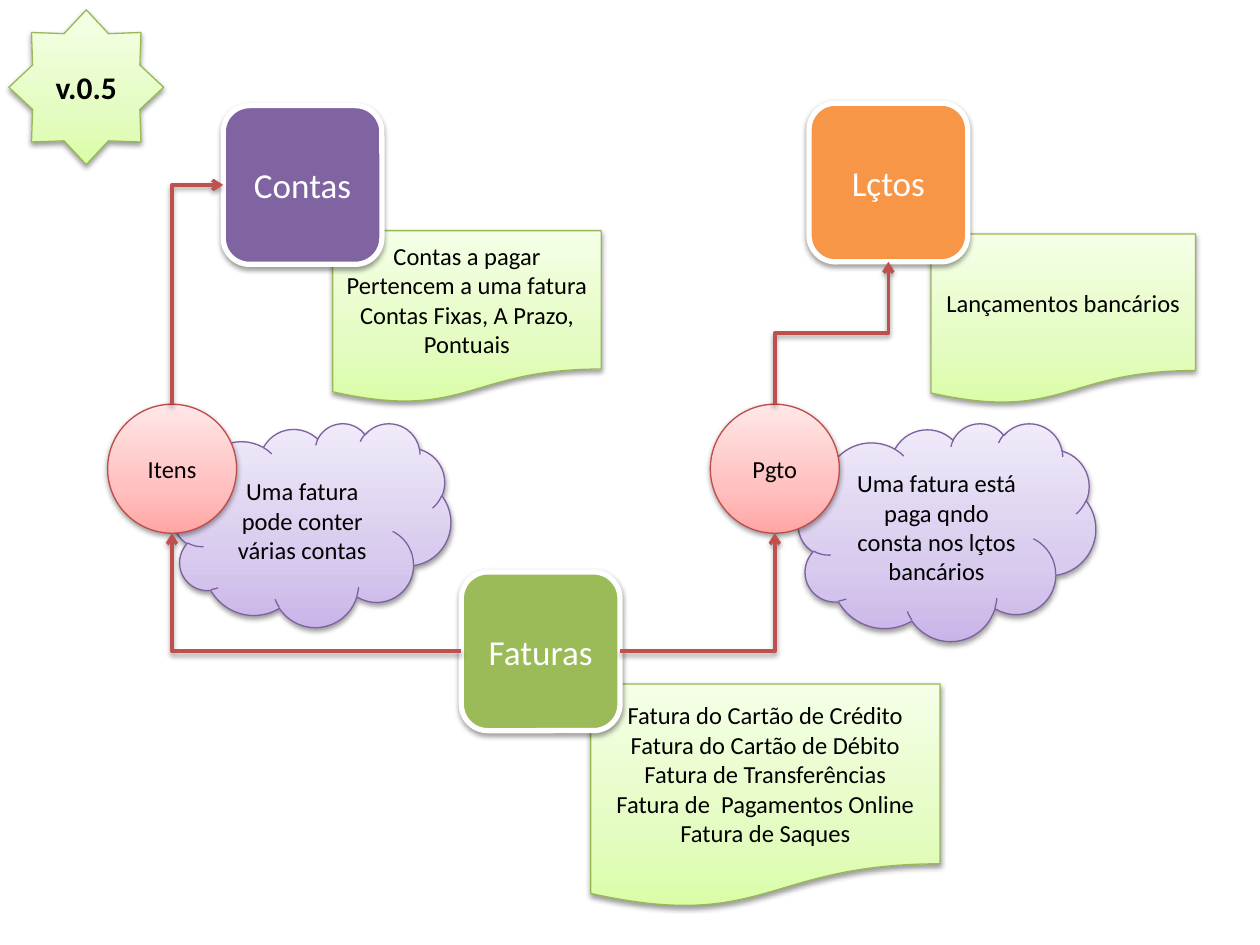
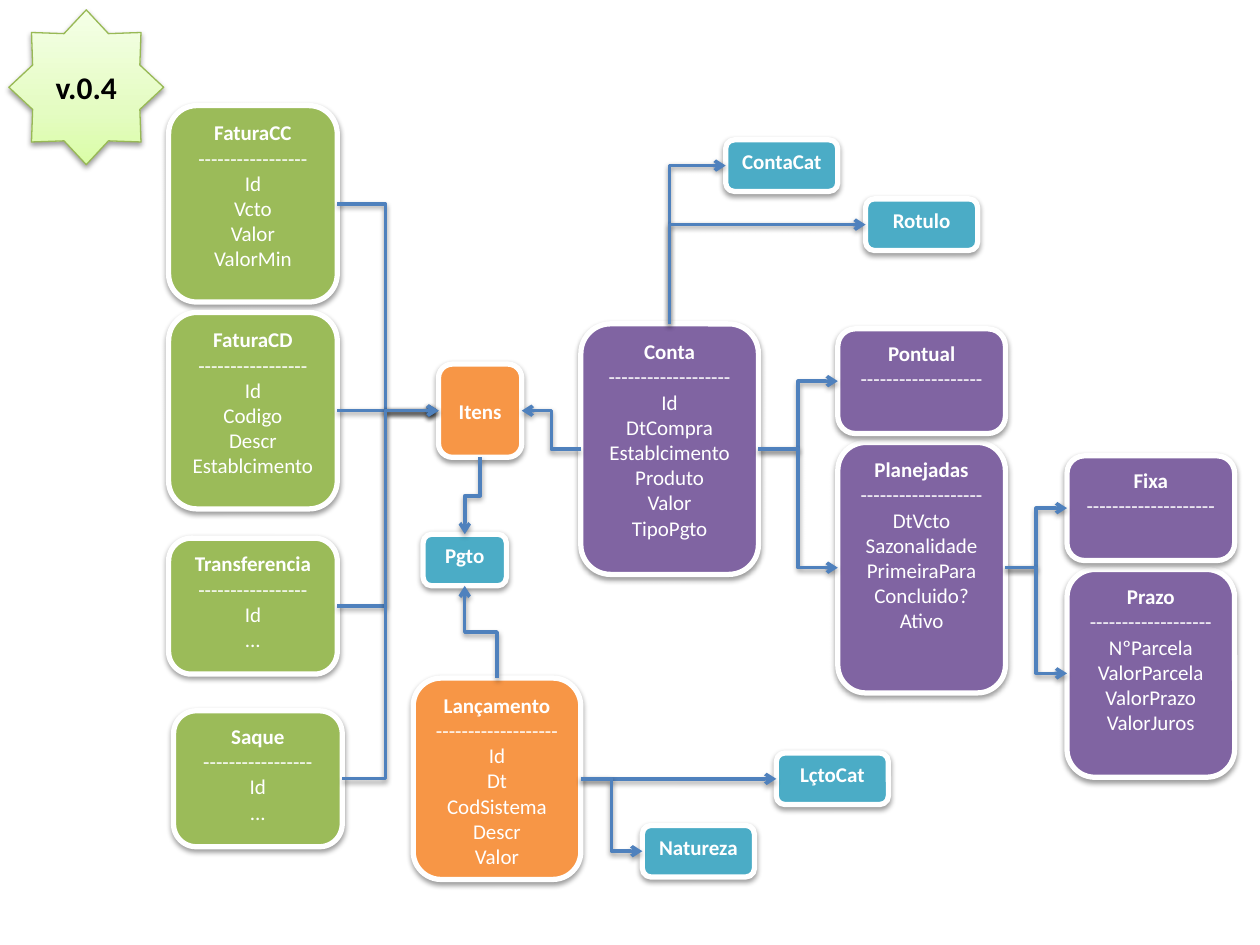
import pptx
import pptx.util
import pptx.dml.color
import pptx.enum.dml
import pptx.enum.shapes
import pptx.enum.text
import pptx.oxml.ns
from lxml import etree

Cm, Pt = pptx.util.Cm, pptx.util.Pt
RGB = pptx.dml.color.RGBColor.from_string
MSO = pptx.enum.shapes.MSO_SHAPE
ANCHOR = pptx.enum.text.MSO_ANCHOR
qn = pptx.oxml.ns.qn

HUES = {
    "white": "FFFFFF", "black": "000000", "purple": "8064A2",
    "orange": "F79646", "green": "9BBB59", "teal": "4BACC6",
    "red": "C0504D", "blue": "4F81BD",
}
# Soft fills: stops from bottom to top, and the outline
SOFT = {
    "lime": (("DAFDA7", "E4FCC2", "F5FFE7"), "98B955"),
    "lilac": (("C9B5E8", "D8CBEE", "F0EAF9"), "7D60A0"),
    "rose": (("FFA6A5", "FFC0BF", "FFE7E7"), "BF4C48"),
}
STOPS = (0, 35000, 100000)
SHADE = (
    '<a:effectLst xmlns:a="http://schemas.openxmlformats.org/drawingml/2006/main">'
    '<a:outerShdw blurRad="39370" dist="20320" dir="5400000" rotWithShape="0">'
    '<a:srgbClr val="000000"><a:alpha val="38000"/></a:srgbClr>'
    '</a:outerShdw></a:effectLst>')


def box(slide, kind, at, text, fill, size=14, color="black", head=False,
        bold=False, anchor=ANCHOR.MIDDLE):
    """Add a filled shape; each line of text is a paragraph."""
    shape = slide.shapes.add_shape(kind, *[Cm(v) for v in at])
    props = shape._element.spPr
    if fill in SOFT:
        tones, edge = SOFT[fill]
        shape.fill.gradient()
        shape.fill.gradient_angle = 90
        stops = props.find(qn("a:gradFill")).find(qn("a:gsLst"))
        for old in list(stops):
            stops.remove(old)
        for pos, tone in zip(STOPS, tones):
            stop = etree.SubElement(stops, qn("a:gs"), pos=str(pos))
            etree.SubElement(stop, qn("a:srgbClr"), val=tone)
        shape.line.width = Pt(0.75)
    else:
        edge = HUES["white"]
        shape.fill.solid()
        shape.fill.fore_color.rgb = RGB(HUES[fill])
        shape.line.width = Pt(3)
    shape.line.color.rgb = RGB(edge)
    props.append(etree.fromstring(SHADE))

    frame = shape.text_frame
    frame.word_wrap = True
    frame.vertical_anchor = anchor
    for n, words in enumerate(text.split("\n")):
        para = frame.add_paragraph() if n else frame.paragraphs[0]
        para.alignment = pptx.enum.text.PP_ALIGN.CENTER
        run = para.add_run()
        run.text = words
        run.font.name = "Calibri"
        run.font.size = Pt(size)
        run.font.bold = bold or (head and n == 0)
        run.font.color.rgb = RGB(HUES[color])
    return shape


def link(slide, start, out, end, into, hue, bend=None):
    """Join two shapes by an elbow arrow; sides are t, l, b, r."""
    ends = []
    for shape, side in ((start, out), (end, into)):
        dx, dy = {"t": (1, 0), "l": (0, 1), "b": (1, 2), "r": (2, 1)}[side]
        ends += [shape.left + shape.width * dx // 2,
                 shape.top + shape.height * dy // 2]
    x1, y1, x2, y2 = ends
    upright = out in "tb"
    if upright:  # lay the path flat, then turn it by 90 degrees
        mx, my, dx, dy = (x1 + x2) // 2, (y1 + y2) // 2, x2 - x1, y2 - y1
        ends = [mx - dy // 2, my + dx // 2, mx + dy // 2, my - dx // 2]
    line = slide.shapes.add_connector(
        pptx.enum.shapes.MSO_CONNECTOR.ELBOW, *ends)
    props = line._element.spPr
    geom = props.find(qn("a:prstGeom"))
    if upright:
        props.find(qn("a:xfrm")).set("rot", "5400000")
    if upright != (into in "tb"):
        geom.set("prst", "bentConnector2")
    elif bend:
        part = round((Cm(bend) - x1) / (x2 - x1) * 100000)
        etree.SubElement(geom.find(qn("a:avLst")), qn("a:gd"),
                         name="adj1", fmla=f"val {part}")
    line.line.color.rgb = RGB(HUES[hue])
    line.line.width = Pt(2)
    etree.SubElement(props.find(qn("a:ln")), qn("a:tailEnd"), type="arrow")
    props.append(etree.fromstring(SHADE))


deck = pptx.Presentation()
deck.slide_width, deck.slide_height = Cm(25.4), Cm(19.05)
plain = deck.slide_layouts[6]
flow, model = [deck.slides.add_slide(plain) for _ in range(2)]

# Version badges
for slide, text in ((flow, "v.0.5"), (model, "v.0.4")):
    box(slide, MSO.STAR_8_POINT, (0.18, 0.2, 3.12, 3.12), text, "lime",
        size=18, bold=True)

# Slide 1: clouds and notes
for at, text in (
        ((16.1, 8.53, 5.99, 4.39),
         "Uma fatura está paga qndo consta nos lçtos bancários"),
        ((3.5, 8.53, 5.59, 4.11), "Uma fatura pode conter várias contas")):
    box(flow, MSO.CLOUD, at, text, "lilac")
for at, text in (
        ((6.71, 4.65, 5.41, 3.48), "Contas a pagar\nPertencem a uma fatura\n"
         "Contas Fixas, A Prazo, Pontuais"),
        ((18.77, 4.72, 5.33, 3.43), "Lançamentos bancários"),
        ((11.91, 13.79, 7.04, 4.52),
         "Fatura do Cartão de Crédito\nFatura do Cartão de Débito\n"
         "Fatura de Transferências\nFatura de  Pagamentos Online\n"
         "Fatura de Saques")):
    box(flow, MSO.FLOWCHART_DOCUMENT, at, text, "lime")

# Slide 1: nodes and arrows
node = {}
for text, x, y, fill in (("Contas", 4.5, 2.13, "purple"),
                         ("Lçtos", 16.31, 2.08, "orange"),
                         ("Faturas", 9.3, 11.53, "green")):
    node[text] = box(flow, MSO.ROUNDED_RECTANGLE, (x, y, 3.2, 3.2), text,
                     fill, size=20, color="white")
for text, x in (("Itens", 2.17), ("Pgto", 14.32)):
    node[text] = box(flow, MSO.OVAL, (x, 8.15, 2.6, 2.6), text, "rose")
for start, out, end, into in (
        ("Faturas", "l", "Itens", "b"), ("Itens", "t", "Contas", "l"),
        ("Faturas", "r", "Pgto", "b"), ("Pgto", "t", "Lçtos", "b")):
    link(flow, node[start], out, node[end], into, "red")

# Slide 2: tables as name, place, fill, dashes under the name, fields
card = {}
for name, at, fill, dash, rows in (
        ("Conta", (11.71, 6.53, 3.58, 5.05), "purple", 19,
         "Id DtCompra Establcimento Produto Valor TipoPgto"),
        ("Planejadas", (16.89, 8.92, 3.38, 5.05), "purple", 19,
         "DtVcto Sazonalidade PrimeiraPara Concluido? Ativo"),
        ("Prazo", (21.51, 11.48, 3.38, 4.19), "purple", 19,
         "NºParcela ValorParcela ValorPrazo ValorJuros"),
        ("Fixa", (21.51, 9.19, 3.38, 2.11), "purple", 20, ""),
        ("Pontual", (16.89, 6.63, 3.38, 2.11), "purple", 19, ""),
        ("FaturaCC", (3.4, 2.13, 3.4, 3.96), "green", 17,
         "Id Vcto Valor ValorMin"),
        ("FaturaCD", (3.4, 6.3, 3.4, 3.96), "green", 17,
         "Id Codigo Descr Establcimento"),
        ("Transferencia", (3.4, 10.85, 3.4, 2.74), "green", 17, "Id ..."),
        ("Saque", (3.5, 14.33, 3.4, 2.74), "green", 17, "Id ..."),
        ("Lançamento", (8.33, 13.67, 3.38, 4.06), "orange", 19,
         "Id Dt CodSistema Descr Valor")):
    text = "\n".join([name, "-" * dash] + rows.split())
    card[name] = box(model, MSO.ROUNDED_RECTANGLE, at, text, fill, size=12,
                     color="white", head=True, anchor=ANCHOR.TOP)

# Slide 2: small boxes
card["Itens"] = box(model, MSO.ROUNDED_RECTANGLE, (8.84, 7.34, 1.68, 1.88),
                    "Itens", "orange", size=12, color="white", bold=True)
for name, x, y, w in (("ContaCat", 14.63, 2.82, 2.26),
                      ("Rotulo", 17.45, 4.01, 2.26),
                      ("Pgto", 8.53, 10.77, 1.68),
                      ("LçtoCat", 15.65, 15.18, 2.26),
                      ("Natureza", 12.95, 16.64, 2.26)):
    card[name] = box(model, MSO.ROUNDED_RECTANGLE, (x, y, w, 1.04), name,
                     "teal", size=12, color="white", bold=True,
                     anchor=ANCHOR.TOP)

# Slide 2: arrows, the invoices sharing one bend
for name in ("FaturaCC", "FaturaCD", "Transferencia", "Saque"):
    link(model, card[name], "r", card["Itens"], "l", "blue", bend=7.77)
for start, out, end, into in (
        ("Conta", "l", "Itens", "r"), ("Conta", "r", "Pontual", "l"),
        ("Conta", "r", "Planejadas", "l"), ("Planejadas", "r", "Fixa", "l"),
        ("Planejadas", "r", "Prazo", "l"), ("Conta", "t", "ContaCat", "l"),
        ("Conta", "t", "Rotulo", "l"), ("Lançamento", "t", "Pgto", "b"),
        ("Itens", "b", "Pgto", "t"), ("Lançamento", "r", "LçtoCat", "l"),
        ("Lançamento", "r", "Natureza", "l")):
    link(model, card[start], out, card[end], into, "blue")

deck.save("out.pptx")
